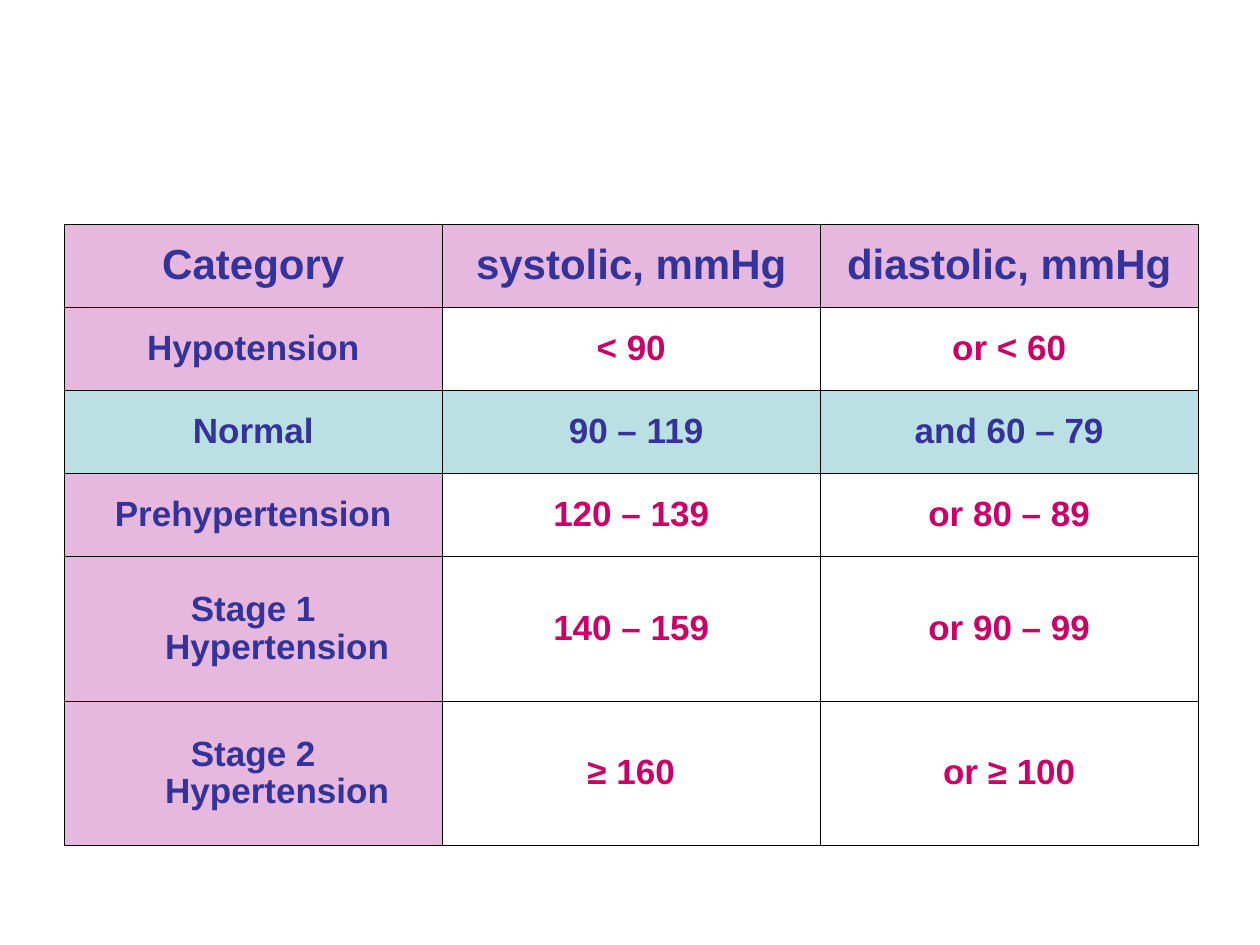
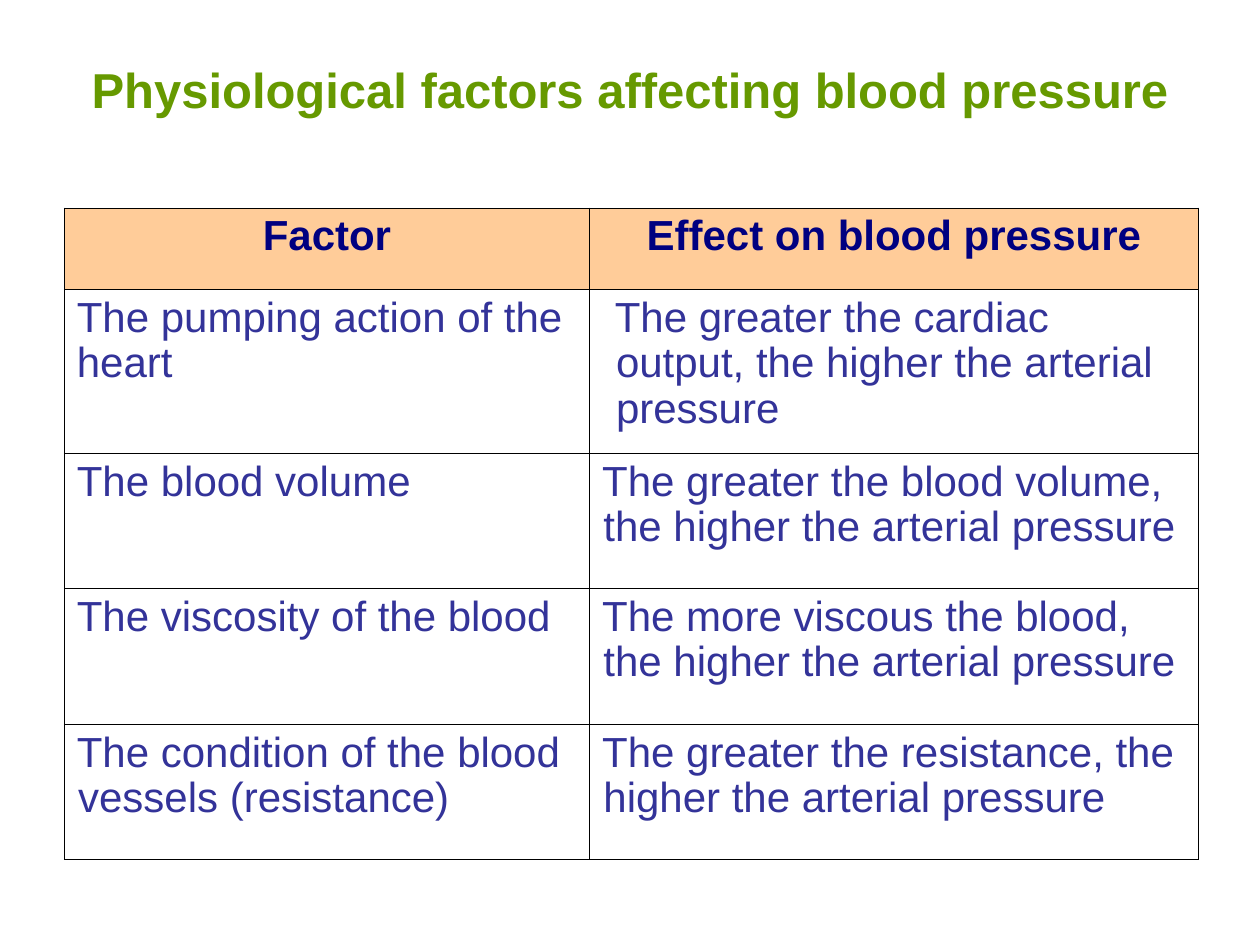
from lxml import etree
from pptx import Presentation
from pptx.dml.color import RGBColor
from pptx.enum.text import MSO_ANCHOR, MSO_AUTO_SIZE, PP_ALIGN
from pptx.oxml.ns import qn
from pptx.util import Inches, Pt

CENTER, LEFT = PP_ALIGN.CENTER, PP_ALIGN.LEFT
MIDDLE, TOP = MSO_ANCHOR.MIDDLE, MSO_ANCHOR.TOP
NO_FIT = MSO_AUTO_SIZE.NONE
INDIGO, NAVY, MAGENTA, GREEN = "333399", "000080", "CC0066", "669900"
PINK, AQUA, PEACH, BLACK = "E6B8DD", "BBE0E3", "FFCC99", "000000"
LINE_SPACING = 0.97
HANGING = (0.38, -0.38)
FLUSH = (0.01, -0.01)


def style_paragraph(paragraph, size, color, bold, align, indent):
    properties = paragraph._p.get_or_add_pPr()
    properties.set("marL", str(Inches(indent[0])))
    properties.set("indent", str(Inches(indent[1])))
    paragraph.alignment = align
    paragraph.line_spacing = LINE_SPACING
    font = paragraph.runs[0].font
    font.name, font.size, font.bold = "Arial", Pt(size), bold
    font.color.rgb = RGBColor.from_string(color)


def add_grid(slide, top, widths, heights, rows, anchor):
    table = slide.shapes.add_table(
        len(heights), len(widths), Inches(0.51), Inches(top),
        Inches(sum(widths)), Inches(sum(heights))).table
    table.first_row = table.horz_banding = False
    for column, width in zip(table.columns, widths):
        column.width = Inches(width)
    for row, height, contents in zip(table.rows, heights, rows):
        row.height = Inches(height)
        for cell, (text, fill, *text_style) in zip(row.cells, contents):
            cell.text_frame.text = text
            cell.vertical_anchor = anchor
            style_paragraph(cell.text_frame.paragraphs[0], *text_style)
            cell_properties = cell._tc.get_or_add_tcPr()
            for side in ("lnL", "lnR", "lnT", "lnB"):
                border = etree.SubElement(cell_properties, qn(f"a:{side}"), w=str(Pt(0.45)))
                solid = etree.SubElement(border, qn("a:solidFill"))
                etree.SubElement(solid, qn("a:srgbClr"), val=BLACK)
            if fill:
                cell.fill.solid()
                cell.fill.fore_color.rgb = RGBColor.from_string(fill)
            else:
                cell.fill.background()


presentation = Presentation()
presentation.slide_width, presentation.slide_height = Inches(10), Inches(7.5)
title_only, blank = presentation.slide_layouts[5], presentation.slide_layouts[6]

categories_slide = presentation.slides.add_slide(blank)
categories = [
    ("Category", "systolic, mmHg", "diastolic, mmHg"),
    ("Hypotension", "< 90", "or < 60"),
    ("Normal", " 90 – 119", "and 60 – 79"),
    ("Prehypertension", "120 – 139", "or 80 – 89"),
    ("Stage 1 Hypertension", "140 – 159", "or 90 – 99"),
    ("Stage 2 Hypertension", "≥ 160", "or ≥ 100"),
]
category_rows = []
for category in categories:
    is_header, is_normal = category[0] == "Category", category[0] == "Normal"
    cells = []
    for column, text in enumerate(category):
        is_label = is_header or column == 0
        fill = AQUA if is_normal else PINK if is_label else None
        color = INDIGO if fill else MAGENTA
        cells.append((text, fill, 24 if is_header else 20, color, True, CENTER, HANGING))
    category_rows.append(cells)
add_grid(categories_slide, 1.78, [3] * 3, [0.66] * 4 + [1.15, 1.14], category_rows, MIDDLE)

factors_slide = presentation.slides.add_slide(title_only)
title = factors_slide.shapes.title
title.left, title.top, title.width, title.height = map(Inches, (0.5, 0.3, 9, 0.85))
title.text_frame.text = "Physiological factors affecting blood pressure"
title.text_frame.auto_size = NO_FIT
title.text_frame.vertical_anchor = MIDDLE
style_paragraph(title.text_frame.paragraphs[0], 28, GREEN, True, CENTER, (0, 0))

factors = [
    ("The pumping action of the heart", (0, 0),
     "The greater the cardiac output, the higher the arterial pressure", (0.11, -0.01)),
    ("The blood volume", HANGING,
     "The greater the blood volume, the higher the arterial pressure", FLUSH),
    ("The viscosity of the blood", HANGING,
     "The more viscous the blood, the higher the arterial pressure", FLUSH),
    ("The condition of the blood vessels (resistance)", FLUSH,
     "The greater the resistance, the higher the arterial pressure", FLUSH),
]
factor_rows = [[(heading, PEACH, 24, NAVY, True, CENTER, HANGING)
                for heading in ("Factor", "Effect on blood pressure")]]
for factor, factor_indent, effect, effect_indent in factors:
    factor_rows.append([(text, None, 24, INDIGO, False, LEFT, indent)
                        for text, indent in ((factor, factor_indent), (effect, effect_indent))])
add_grid(factors_slide, 1.65, [4.17, 4.83], [0.65, 1.3, 1.07, 1.08, 1.07], factor_rows, TOP)

presentation.save("out.pptx")
